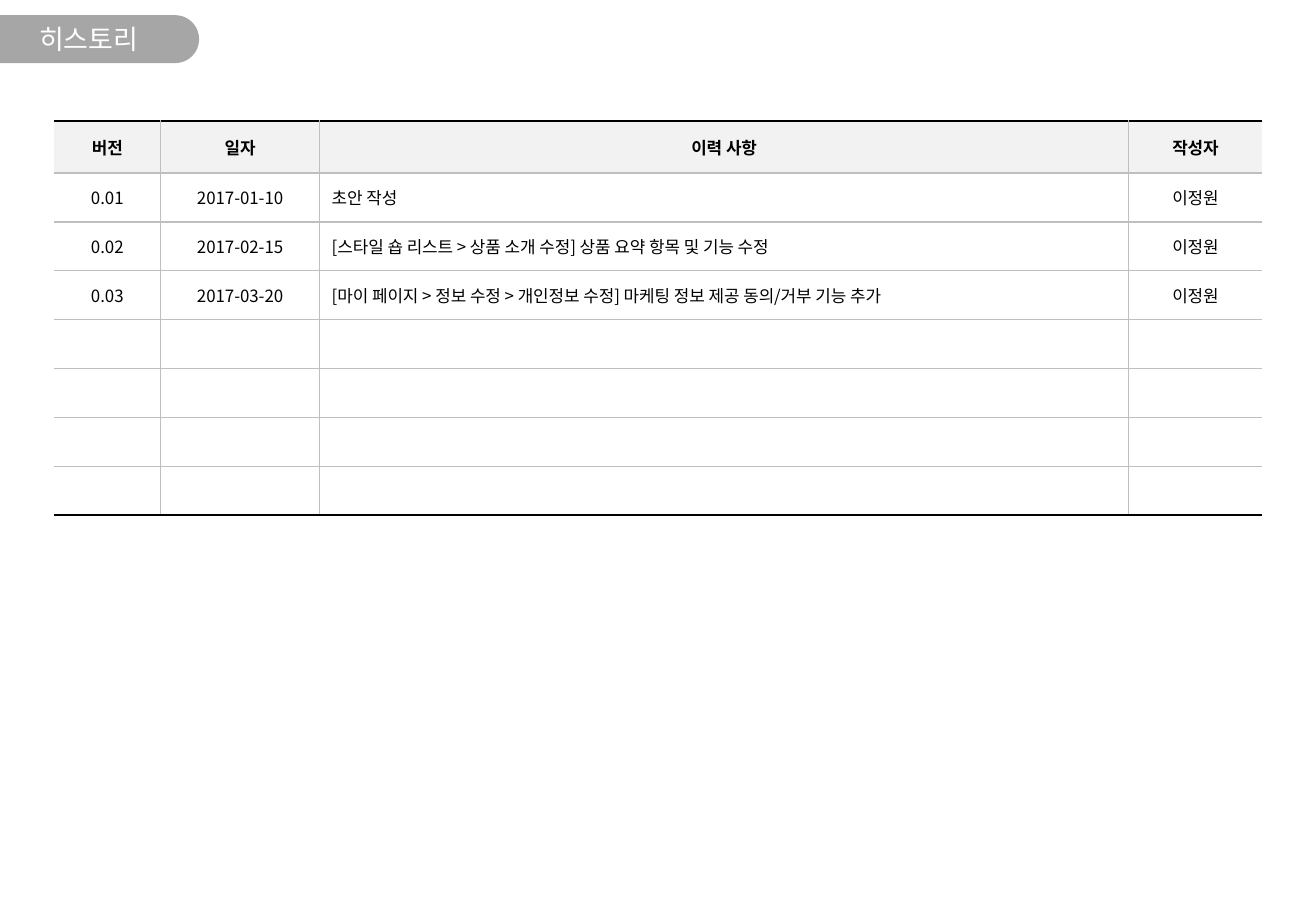
"""Build the document history slide with its version table."""
import pptx
import pptx.util
import pptx.dml.color
import pptx.enum.shapes
import pptx.enum.text
import pptx.oxml
import pptx.oxml.ns
import pptx.oxml.xmlchemy

TITLE = "히스토리"
HEADER = ("버전", "일자", "이력 사항", "작성자")
HISTORY = [
    ("0.01", "2017-01-10", "초안 작성", "이정원"),
    ("0.02", "2017-02-15", "[스타일 숍 리스트 > 상품 소개 수정] 상품 요약 항목 및 기능 수정", "이정원"),
    ("0.03", "2017-03-20", "[마이 페이지 > 정보 수정 > 개인정보 수정] 마케팅 정보 제공 동의/거부 기능 추가", "이정원"),
]
EMPTY_ROWS = 4
NOTE_COLUMN = HEADER.index("이력 사항")

FONT = "Noto Sans CJK KR"
COLORS = {"tab": "A6A6A6", "header": "F2F2F2", "grid": "BFBFBF", "ink": "000000", "paper": "FFFFFF"}

COLUMN_WIDTHS = (63.2, 94.2, 479.6, 79.2)
HEADER_HEIGHT, ROW_HEIGHT = 31, 29
TABLE_LEFT, TABLE_TOP = 32, 71.5
TAB_LENGTH, TAB_HEIGHT, TAB_TOP = 118, 28.4, 9

Pt = pptx.util.Pt
ALIGN = pptx.enum.text.PP_ALIGN


def rgb(name):
    return pptx.dml.color.RGBColor.from_string(COLORS[name])


def write(frame, text, size=10, color="ink", bold=False, align=ALIGN.CENTER):
    paragraph = frame.paragraphs[0]
    paragraph.alignment = align
    if not text:
        ending = pptx.oxml.xmlchemy.OxmlElement("a:endParaRPr")
        ending.set("sz", str(size * 100))
        paragraph._p.append(ending)
        return
    run = paragraph.add_run()
    run.text = text
    run.font.size = Pt(size)
    run.font.bold = bold
    run.font.name = FONT
    run.font.color.rgb = rgb(color)
    east_asian = pptx.oxml.xmlchemy.OxmlElement("a:ea")
    east_asian.set("typeface", FONT)
    run.font._element.find(pptx.oxml.ns.qn("a:latin")).addnext(east_asian)


def draw_borders(cell, edges):
    namespace = pptx.oxml.ns.nsdecls("a")
    properties = cell._tc.get_or_add_tcPr()
    for position, (side, edge) in enumerate(edges.items()):
        if edge:
            color, width = edge
            line = (f'<a:ln{side} {namespace} w="{Pt(width)}"><a:solidFill>'
                    f'<a:srgbClr val="{COLORS[color]}"/></a:solidFill></a:ln{side}>')
        else:
            line = f'<a:ln{side} {namespace} w="0"><a:noFill/></a:ln{side}>'
        properties.insert(position, pptx.oxml.parse_xml(line))


def add_title(slide):
    title = slide.shapes.title
    tab = slide.shapes.add_shape(
        pptx.enum.shapes.MSO_SHAPE.ROUND_2_SAME_RECTANGLE,
        Pt((TAB_LENGTH - TAB_HEIGHT) / 2), Pt(TAB_TOP + (TAB_HEIGHT - TAB_LENGTH) / 2),
        Pt(TAB_HEIGHT), Pt(TAB_LENGTH))
    tab.rotation = 270
    tab.adjustments[0], tab.adjustments[1] = 0, 0.5
    tab.shadow.inherit = False
    tab.fill.solid()
    tab.fill.fore_color.rgb = rgb("tab")
    tab.line.fill.background()
    title._element.addprevious(tab._element)

    title.left, title.top, title.width, title.height = Pt(-1), Pt(TAB_TOP), Pt(107), Pt(TAB_HEIGHT)
    title.text_frame.vertical_anchor = pptx.enum.text.MSO_ANCHOR.MIDDLE
    title.text_frame.auto_size = pptx.enum.text.MSO_AUTO_SIZE.NONE
    write(title.text_frame, TITLE, size=16, color="paper")


def add_history(slide):
    rows = [HEADER, *HISTORY] + [("",) * len(HEADER)] * EMPTY_ROWS
    heights = [HEADER_HEIGHT] + [ROW_HEIGHT] * (len(rows) - 1)
    history = slide.shapes.add_table(
        len(rows), len(HEADER), Pt(TABLE_LEFT), Pt(TABLE_TOP),
        Pt(sum(COLUMN_WIDTHS)), Pt(sum(heights))).table
    history.horz_banding = False
    for column, width in zip(history.columns, COLUMN_WIDTHS):
        column.width = Pt(width)
    grid, rule = ("grid", 1), ("ink", 1.5)
    last_row, last_column = len(rows) - 1, len(HEADER) - 1
    for r, values in enumerate(rows):
        history.rows[r].height = Pt(heights[r])
        for c, value in enumerate(values):
            cell = history.cell(r, c)
            cell.vertical_anchor = pptx.enum.text.MSO_ANCHOR.MIDDLE
            if r == 0:
                cell.fill.solid()
                cell.fill.fore_color.rgb = rgb("header")
            else:
                cell.fill.background()
            draw_borders(cell, {
                "L": grid if c > 0 else None,
                "R": grid if c < last_column else None,
                "T": grid if r > 0 else rule,
                "B": grid if r < last_row else rule,
            })
            is_note = r > 0 and c == NOTE_COLUMN
            write(cell.text_frame, value, bold=r == 0, align=ALIGN.LEFT if is_note else ALIGN.CENTER)


def main():
    deck = pptx.Presentation()
    deck.slide_width, deck.slide_height = Pt(780), Pt(540)
    slide = deck.slides.add_slide(deck.slide_layouts[5])
    add_title(slide)
    add_history(slide)
    deck.save("out.pptx")


if __name__ == "__main__":
    main()
